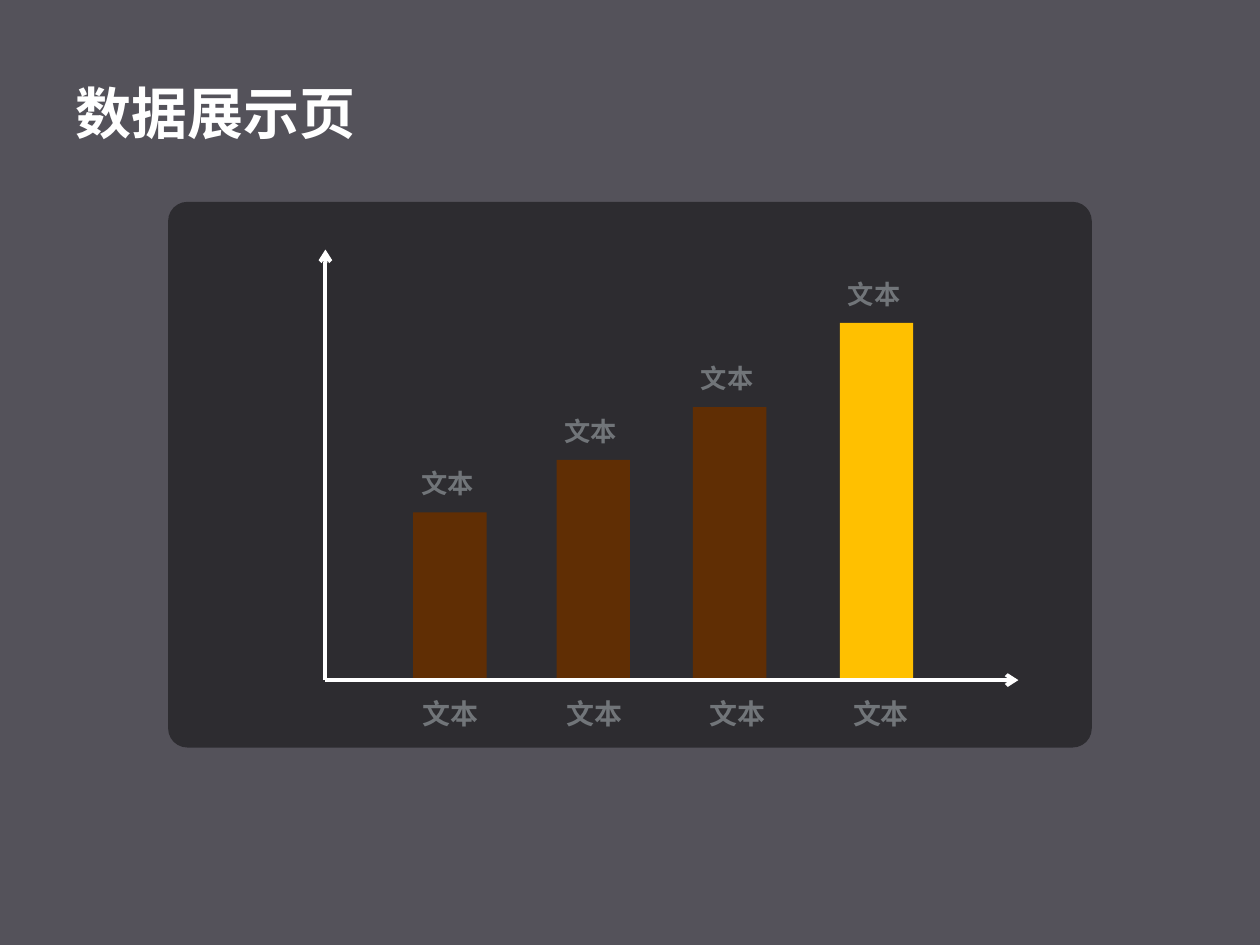
from dataclasses import dataclass

import pptx
import pptx.dml.color
import pptx.enum.shapes
import pptx.enum.text
import pptx.oxml
import pptx.oxml.ns
import pptx.util
from pptx.util import Cm

SHAPES = pptx.enum.shapes.MSO_SHAPE
ALIGN = pptx.enum.text.PP_ALIGN


@dataclass(frozen=True)
class Theme:
    background: str = "54525A"
    panel: str = "000000"
    panel_opacity: int = 46
    label: str = "717579"
    bar: str = "602E04"
    highlight: str = "FFC000"
    light: str = "FFFFFF"
    title_font: str = "Arial"
    label_font: str = "Noto Sans CJK SC"
    title_size: int = 32
    category_size: int = 16
    value_size: int = 15
    axis_width: float = 2.25


@dataclass(frozen=True)
class Bar:
    left: float
    height: float
    color: str
    value: str = "文本"
    category: str = "文本"


THEME = Theme()
BARS = [
    Bar(1.77, 3.38, THEME.bar),
    Bar(4.66, 4.44, THEME.bar),
    Bar(7.41, 5.5, THEME.bar),
    Bar(10.37, 7.2, THEME.highlight),
]


def rgb(color):
    return pptx.dml.color.RGBColor.from_string(color)


def append_xml(parent, tag, **attributes):
    element = pptx.oxml.parse_xml(f"<a:{tag} {pptx.oxml.ns.nsdecls('a')}/>")
    for name, value in attributes.items():
        element.set(name, value)
    parent.append(element)


def write_text(frame, text, *, size, color, font, align=ALIGN.LEFT, line_spacing=None):
    paragraph = frame.paragraphs[0]
    paragraph.alignment = align
    paragraph.line_spacing = line_spacing
    run = paragraph.add_run()
    run.text = text
    run.font.size = pptx.util.Pt(size)
    run.font.bold = True
    run.font.name = font
    run.font.color.rgb = rgb(color)
    append_xml(run.font._element, "ea", typeface=THEME.label_font)


def add_label(slide, text, left, top, width, height, size):
    box = slide.shapes.add_textbox(Cm(left), Cm(top), Cm(width), Cm(height))
    box.text_frame.word_wrap = False
    box.text_frame.auto_size = pptx.enum.text.MSO_AUTO_SIZE.SHAPE_TO_FIT_TEXT
    write_text(box.text_frame, text, size=size, color=THEME.label,
               font=THEME.label_font, align=ALIGN.CENTER)


def add_block(slide, kind, left, top, width, height, color):
    shape = slide.shapes.add_shape(kind, Cm(left), Cm(top), Cm(width), Cm(height))
    shape.shadow.inherit = False
    shape.fill.solid()
    shape.fill.fore_color.rgb = rgb(color)
    shape.line.fill.background()
    return shape


def add_axis(slide, start, end):
    axis = slide.shapes.add_connector(
        pptx.enum.shapes.MSO_CONNECTOR.STRAIGHT, *map(Cm, start + end))
    axis.line.width = pptx.util.Pt(THEME.axis_width)
    axis.line.color.rgb = rgb(THEME.light)
    append_xml(axis.line._get_or_add_ln(), "tailEnd", type="arrow")
    append_xml(axis._element.spPr, "effectLst")


def place_title(slide, text, left, top, width, height):
    title = slide.shapes.title
    title.left, title.top, title.width, title.height = map(Cm, (left, top, width, height))
    title.text_frame.vertical_anchor = pptx.enum.text.MSO_ANCHOR.MIDDLE
    write_text(title.text_frame, text, size=THEME.title_size, color=THEME.light,
               font=THEME.title_font, line_spacing=0.9)


def add_panel(slide, left, top, width, height):
    panel = add_block(slide, SHAPES.ROUNDED_RECTANGLE, left, top, width, height, THEME.panel)
    panel.adjustments[0] = 0.035
    color = panel.fill._xPr.find(".//" + pptx.oxml.ns.qn("a:srgbClr"))
    append_xml(color, "alpha", val=str(THEME.panel_opacity * 1000))


def add_bar_diagram(slide, bars, left, top, width, height):
    """Draw bars, labels and axes; the box's lower left corner is the origin."""
    base = top + height
    for index, bar in enumerate(bars):
        add_label(slide, bar.category, left + 1.68 + 2.89 * index, base + 0.2,
                  1.7, 0.94, THEME.category_size)
    for bar in bars:
        add_block(slide, SHAPES.RECTANGLE, left + bar.left, base - bar.height,
                  1.48, bar.height, bar.color)
    add_axis(slide, (left, base), (left, top))
    add_axis(slide, (left, base), (left + width, base))
    for bar in bars:
        add_label(slide, bar.value, left + bar.left - 0.12, base - bar.height - 1.03,
                  1.62, 0.89, THEME.value_size)


def build_data_slide(presentation):
    slide = presentation.slides.add_slide(presentation.slide_layouts[5])
    slide.background.fill.solid()
    slide.background.fill.fore_color.rgb = rgb(THEME.background)
    place_title(slide, "数据展示页", 1.27, 0.76, 22.86, 3.18)
    panel_left, panel_top = 3.39, 4.07
    add_panel(slide, panel_left, panel_top, 18.62, 11)
    add_bar_diagram(slide, BARS, panel_left + 3.17, panel_top + 0.96, 13.97, 8.68)


def main():
    presentation = pptx.Presentation()
    presentation.slide_width = Cm(25.4)
    presentation.slide_height = Cm(19.05)
    build_data_slide(presentation)
    presentation.save("out.pptx")


if __name__ == "__main__":
    main()
